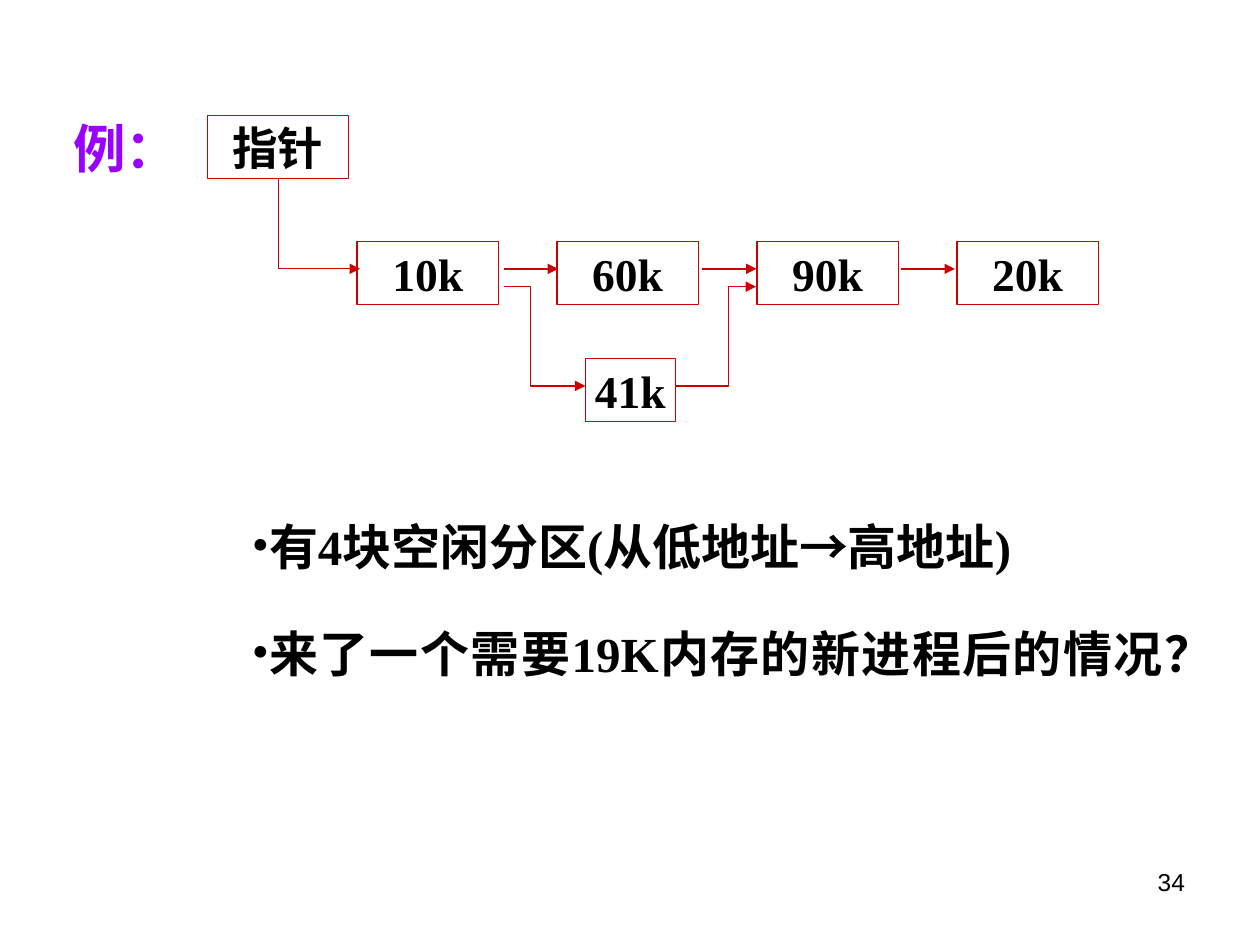
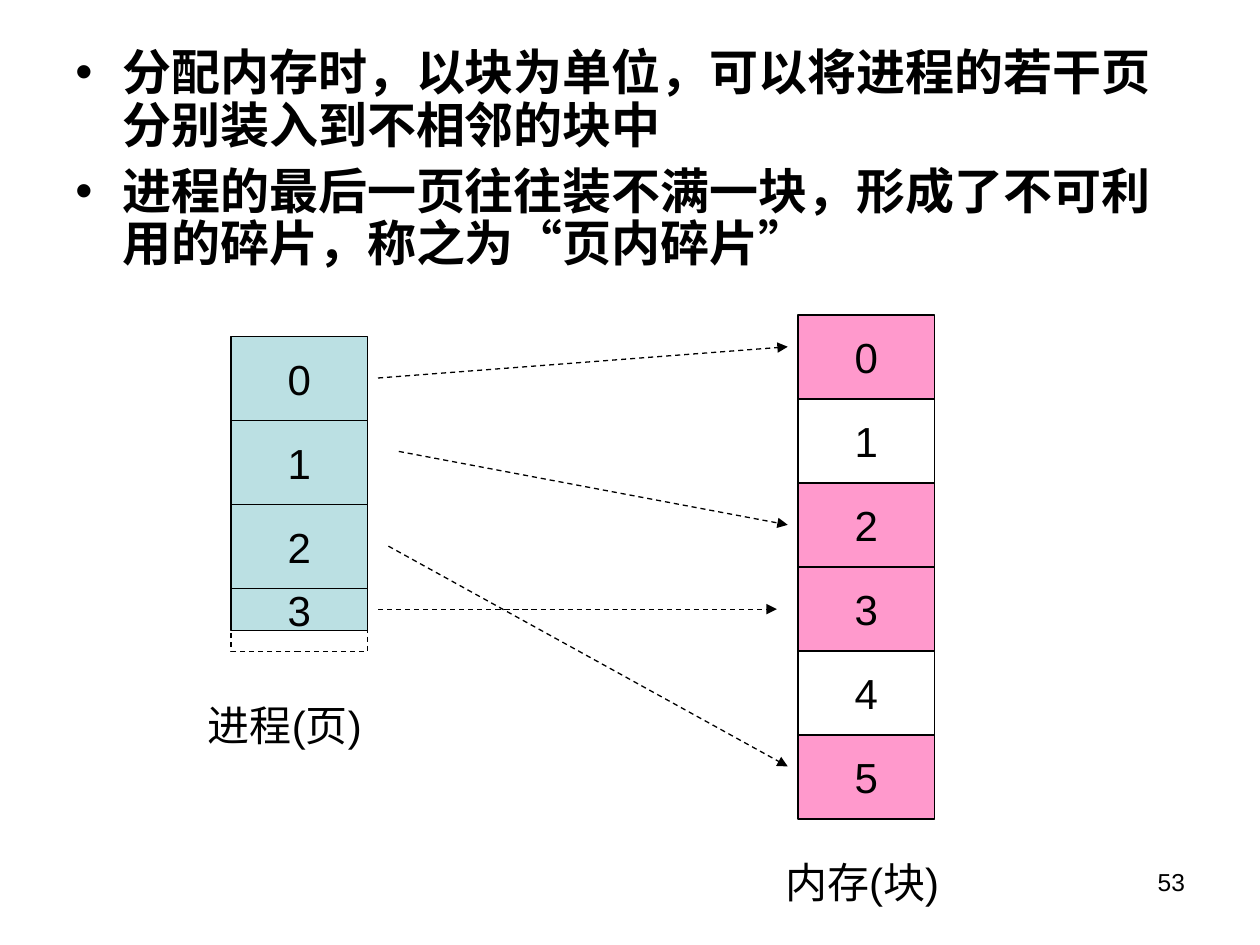
from dataclasses import dataclass

from lxml import etree
from pptx import Presentation
from pptx.dml.color import RGBColor
from pptx.enum.dml import MSO_LINE
from pptx.enum.shapes import MSO_CONNECTOR, MSO_SHAPE
from pptx.enum.text import MSO_ANCHOR, MSO_AUTO_SIZE, PP_ALIGN
from pptx.oxml.ns import qn
from pptx.util import Cm, Pt

RECTANGLE = MSO_SHAPE.RECTANGLE
STRAIGHT = MSO_CONNECTOR.STRAIGHT
DASH = MSO_LINE.DASH
MIDDLE = MSO_ANCHOR.MIDDLE
FIT_SHAPE = MSO_AUTO_SIZE.SHAPE_TO_FIT_TEXT
NO_FIT = MSO_AUTO_SIZE.NONE
LEFT, CENTER, RIGHT, JUSTIFY = (
    PP_ALIGN.LEFT, PP_ALIGN.CENTER, PP_ALIGN.RIGHT, PP_ALIGN.JUSTIFY)


@dataclass(frozen=True)
class TextStyle:
    font: str
    size: float
    color: RGBColor
    bold: bool = False


@dataclass(frozen=True)
class Theme:
    black = RGBColor(0x00, 0x00, 0x00)
    white = RGBColor(0xFF, 0xFF, 0xFF)
    red = RGBColor(0xCC, 0x00, 0x00)
    pink = RGBColor(0xFF, 0x99, 0xCC)
    teal = RGBColor(0xBB, 0xE0, 0xE3)
    purple = RGBColor(0x99, 0x00, 0xFF)
    line_width = Pt(0.75)
    number = TextStyle("Arial", 14, black)
    example = TextStyle("Times New Roman", 30, purple, True)
    partition = TextStyle("Times New Roman", 26, black, True)
    question = TextStyle("Times New Roman", 28, black, True)
    body = TextStyle("Arial", 28, black, True)
    caption = TextStyle("Arial", 24, black)
    wide_inset = (0.25, 0.13)
    medium_inset = (0.2, 0.1)
    narrow_inset = (0.15, 0.08)


THEME = Theme()


def style_paragraph(paragraph, style, align=LEFT):
    paragraph.alignment = align
    font = paragraph.font
    font.name = style.font
    font.size = Pt(style.size)
    font.bold = style.bold
    font.color.rgb = style.color


def set_insets(frame, inset):
    frame.margin_left = frame.margin_right = Cm(inset[0])
    frame.margin_top = frame.margin_bottom = Cm(inset[1])


def style_line(line, color, dashed=False):
    line.color.rgb = color
    line.width = THEME.line_width
    if dashed:
        line.dash_style = DASH


def add_arrowhead(shape):
    outline = shape.line._get_or_add_ln()
    etree.SubElement(outline, qn("a:tailEnd"), type="triangle")


def add_text_box(slide, left, top, width, height, inset, wrap=True, fit=NO_FIT):
    frame = slide.shapes.add_textbox(
        Cm(left), Cm(top), Cm(width), Cm(height)).text_frame
    set_insets(frame, inset)
    frame.word_wrap = wrap
    frame.auto_size = fit
    return frame


def add_label(slide, text, left, top, width, height, style, inset):
    frame = add_text_box(slide, left, top, width, height, inset, False, FIT_SHAPE)
    frame.text = text
    style_paragraph(frame.paragraphs[0], style)


def add_page_number(slide, number):
    frame = add_text_box(slide, 18.21, 17.35, 5.93, 1.32, THEME.wide_inset)
    frame.text = str(number)
    style_paragraph(frame.paragraphs[0], THEME.number, RIGHT)


def add_bullets(frame, texts, style, margin, indent, line_spacing, space_before,
                align=LEFT):
    frame.text = "\n".join(texts)
    for index, paragraph in enumerate(frame.paragraphs):
        paragraph.line_spacing = line_spacing
        paragraph.space_before = Pt(space_before if index else 0)
        properties = paragraph._p.get_or_add_pPr()
        properties.set("marL", str(Cm(margin)))
        properties.set("indent", str(Cm(indent)))
        etree.SubElement(properties, qn("a:buFont"), typeface=style.font)
        etree.SubElement(properties, qn("a:buChar"), char="•")
        style_paragraph(paragraph, style, align)


def add_box(slide, left, top, width, height, line_color, fill=None, dashed=False):
    box = slide.shapes.add_shape(
        RECTANGLE, Cm(left), Cm(top), Cm(width), Cm(height))
    box.shadow.inherit = False
    if fill is None:
        box.fill.background()
    else:
        box.fill.solid()
        box.fill.fore_color.rgb = fill
    style_line(box.line, line_color, dashed)
    return box


def write_in_box(box, text, style, inset):
    frame = box.text_frame
    set_insets(frame, inset)
    frame.word_wrap = False
    frame.vertical_anchor = MIDDLE
    frame.text = text
    style_paragraph(frame.paragraphs[0], style, CENTER)


def add_partition(slide, text, left, top, width=2.85):
    box = add_box(slide, left, top, width, 1.27, THEME.red)
    write_in_box(box, text, THEME.partition, THEME.narrow_inset)


def add_cells(slide, left, top, heights, fills):
    for number, (height, fill) in enumerate(zip(heights, fills)):
        box = add_box(slide, left, top, 2.75, height, THEME.black, fill)
        write_in_box(box, str(number), THEME.caption, THEME.wide_inset)
        top += height


def add_arrow(slide, start, end, color, dashed=False):
    arrow = slide.shapes.add_connector(
        STRAIGHT, Cm(start[0]), Cm(start[1]), Cm(end[0]), Cm(end[1]))
    style_line(arrow.line, color, dashed)
    add_arrowhead(arrow)
    etree.SubElement(arrow._element.spPr, qn("a:effectLst"))


def add_bent_arrow(slide, points):
    first, *others = [(Cm(x), Cm(y)) for x, y in points]
    builder = slide.shapes.build_freeform(*first)
    builder.add_line_segments(others, close=False)
    arrow = builder.convert_to_shape()
    arrow.shadow.inherit = False
    arrow.fill.background()
    style_line(arrow.line, THEME.red)
    add_arrowhead(arrow)


def build_free_list_slide(slide):
    add_page_number(slide, 34)
    add_label(slide, "例：", 1.28, 2.24, 2.54, 1.47,
              THEME.example, THEME.medium_inset)
    frame = add_text_box(slide, 2.74, 9.95, 20.93, 3.91, THEME.medium_inset,
                         fit=FIT_SHAPE)
    add_bullets(frame,
                ["有4块空闲分区(从低地址→高地址)",
                 "来了一个需要19K内存的新进程后的情况？"],
                THEME.question, 0.61, 1.53, 1.3, 17.5, JUSTIFY)

    add_partition(slide, "指针", 4.18, 2.33)
    for index, size in enumerate(["10k", "60k", "90k", "20k"]):
        add_partition(slide, size, 7.2 + 4.03 * index, 4.87)
    add_partition(slide, "41k", 11.8, 7.23, 1.82)

    link_y, branch_y, split_y = 5.42, 5.78, 7.78
    for index in range(3):
        start = 10.16 + 4 * index
        add_arrow(slide, (start, link_y), (start + 1.09, link_y), THEME.red)
    add_bent_arrow(slide, [(5.62, 3.6), (5.62, link_y), (7.26, link_y)])
    add_bent_arrow(slide, [(10.16, branch_y), (10.7, branch_y),
                           (10.7, split_y), (11.8, split_y)])
    add_bent_arrow(slide, [(13.62, split_y), (14.69, split_y),
                           (14.69, branch_y), (15.24, branch_y)])


def build_paging_slide(slide):
    add_page_number(slide, 53)
    frame = add_text_box(slide, 1.27, 0.85, 22.86, 5.08, THEME.wide_inset)
    add_bullets(frame,
                ["分配内存时，以块为单位，可以将进程的若干页分别装入到不相邻的块中",
                 "进程的最后一页往往装不满一块，形成了不可利用的碎片，称之为“页内碎片”"],
                THEME.body, 0.95, -0.95, 0.9, 7)

    for start, end in [((7.62, 7.62), (15.88, 6.99)),
                       ((8.04, 9.1), (15.88, 10.58)),
                       ((7.83, 11.01), (15.88, 15.45)),
                       ((7.62, 12.28), (15.66, 12.28))]:
        add_arrow(slide, start, end, THEME.black, dashed=True)

    row = 10.16 / 6
    page_left, page_top = 4.66, 6.78
    used_blocks = {0, 2, 3, 5}
    block_fills = [THEME.pink if block in used_blocks else THEME.white
                   for block in range(6)]
    add_cells(slide, 16.09, 6.35, [row] * 6, block_fills)
    add_cells(slide, page_left, page_top, [row] * 3 + [row / 2], [THEME.teal] * 4)
    add_box(slide, page_left, page_top + 3 * row, 2.75, 1.27, THEME.black,
            dashed=True)

    for text, left, top in [("进程(页)", 3.94, 13.97), ("内存(块)", 15.58, 17.14)]:
        add_label(slide, text, left, top, 4.22, 1.27,
                  THEME.caption, THEME.wide_inset)


def main():
    presentation = Presentation()
    presentation.slide_width = Cm(25.4)
    presentation.slide_height = Cm(19.05)
    blank = presentation.slide_layouts[6]
    for build in (build_free_list_slide, build_paging_slide):
        build(presentation.slides.add_slide(blank))
    presentation.save("out.pptx")


if __name__ == "__main__":
    main()
